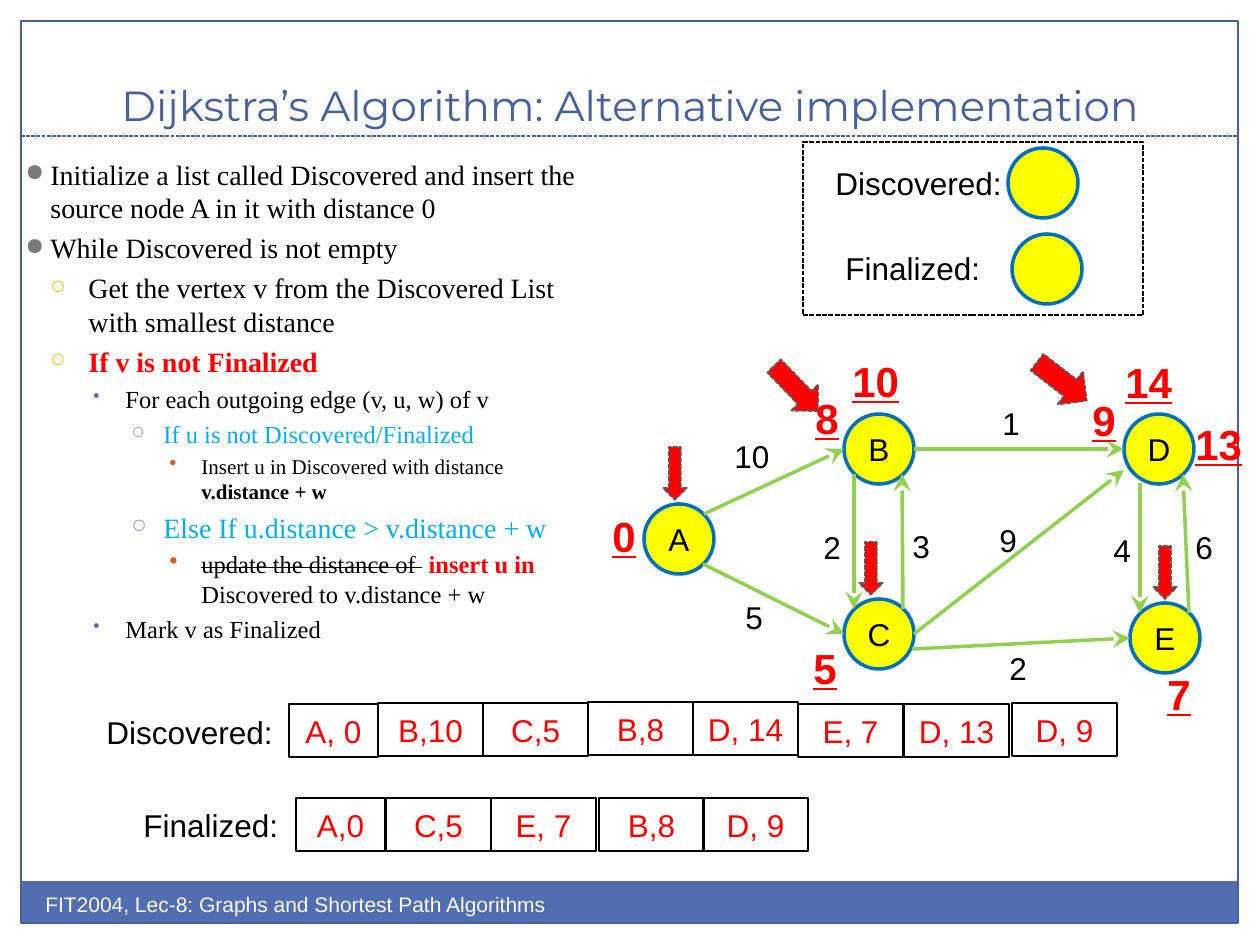
"""Build a slide on an alternative implementation of Dijkstra's algorithm."""
from lxml import etree
from pptx import Presentation
from pptx import util as u
from pptx.dml.color import RGBColor
from pptx.enum import dml, shapes, text
from pptx.oxml.ns import qn

PX = u.Inches(1) / 126
WHITE = RGBColor(0xFF, 0xFF, 0xFF)
BLACK = RGBColor(0x00, 0x00, 0x00)
RED = RGBColor(0xFF, 0x00, 0x00)
YELLOW = RGBColor(0xFF, 0xFF, 0x00)
BLUE = RGBColor(0x00, 0x70, 0xC0)
SKY = RGBColor(0x00, 0xB0, 0xF0)
GREEN = RGBColor(0x92, 0xD0, 0x50)
NAVY = RGBColor(0x48, 0x60, 0x9B)
BAND = RGBColor(0x52, 0x6D, 0xB0)
GREY = RGBColor(0x5A, 0x5A, 0x5A)
DASH = dml.MSO_LINE.SQUARE_DOT
MSO = shapes.MSO_SHAPE


def add(kind, box, fill=None, color=None, width=1, dash=None):
    box = [round(v * PX) for v in box]
    if kind is None:
        return s.shapes.add_textbox(*box)
    sp = s.shapes.add_shape(kind, *box)
    sp.shadow.inherit = False
    if fill is None:
        sp.fill.background()
    else:
        sp.fill.solid()
        sp.fill.fore_color.rgb = fill
    if color is None:
        sp.line.fill.background()
    else:
        sp.line.color.rgb = color
        sp.line.width = u.Pt(width)
        sp.line.dash_style = dash
    return sp


def write(p, words, size=18, color=BLACK, name="Arial", **fmt):
    r = p.add_run()
    r.text = words
    r.font.color.rgb = color
    for key, value in {"size": u.Pt(size), "name": name, **fmt}.items():
        setattr(r.font, key, value)
    return r


prs = Presentation()
prs.slide_width, prs.slide_height = u.Inches(10), u.Inches(7.5)
s = prs.slides.add_slide(prs.slide_layouts[6])

add(MSO.RECTANGLE, (21, 881, 1217, 43), BAND)
add(MSO.RECTANGLE, (21, 21, 1217, 902), None, NAVY, 0.75)

title = add(None, (42, 32, 1176, 104)).text_frame
title.word_wrap = True
title.vertical_anchor = text.MSO_ANCHOR.BOTTOM
title.paragraphs[0].alignment = text.PP_ALIGN.CENTER
write(title.paragraphs[0], "Dijkstra’s Algorithm: Alternative implementation", 24, NAVY, "Montserrat")

footer = add(None, (33, 885, 630, 50)).text_frame
footer.word_wrap = True
write(footer.paragraphs[0], "FIT2004, Lec-8: Graphs and Shortest Path Algorithms", 12, WHITE)

LEVELS = [
    (38, -25, "●", "7A7A7A", 85),
    (76, -38, "○", "F5C201", 70),
    (113, -32, "•", "526DB0", 75),
    (151, -32, "○", "989AAC", 70),
    (189, -32, "•", "DC5924", 100),
]
BOLD_RED = {"color": RED, "bold": True}
STEPS = [
    (0, 16, [("Initialize a list called Discovered and insert the source node A in it with distance 0", {})]),
    (0, 16, [("While Discovered is not empty", {})]),
    (1, 16, [("Get the vertex v from the Discovered List with smallest distance", {})]),
    (1, 16, [("If v is not Finalized", BOLD_RED)]),
    (2, 14, [("For each outgoing edge (v, u, w) of v", {})]),
    (3, 14, [("If u is not Discovered/Finalized", {"color": SKY})]),
    (4, 12, [("Insert u in Discovered with distance ", {}), ("v.distance + w", {"bold": True})]),
    (3, 16, [("Else If u.distance > v.distance + w", {"color": SKY})]),
    (4, 14, [("update the distance of ", {"strike": True}), (" ", {}), ("insert u in", BOLD_RED),
             (" Discovered to v.distance + w", {})]),
    (2, 14, [("Mark v as Finalized", {})]),
]
tf = add(None, (0, 151, 609, 509)).text_frame
tf.word_wrap = True
for i, (level, size, runs) in enumerate(STEPS):
    p = tf.add_paragraph() if i else tf.paragraphs[0]
    p.level = level
    p.space_before = u.Pt(round(size * 0.23, 1))
    left, indent, char, color, percent = LEVELS[level]
    pPr = p._p.get_or_add_pPr()
    pPr.set("marL", str(round(left * PX)))
    pPr.set("indent", str(round(indent * PX)))
    etree.SubElement(etree.SubElement(pPr, qn("a:buClr")), qn("a:srgbClr"), val=color)
    etree.SubElement(pPr, qn("a:buSzPct"), val=str(percent * 1000))
    etree.SubElement(pPr, qn("a:buChar"), char=char)
    for words, fmt in runs:
        struck = fmt.get("strike")
        r = write(p, words, size, name="Times New Roman", **{k: v for k, v in fmt.items() if k != "strike"})
        if struck:
            r._r.get_or_add_rPr().set("strike", "sngStrike")

add(MSO.RECTANGLE, (803, 142, 340, 173), None, BLACK, 0.9, DASH)
NODES = [("A", 644, 504), ("B", 844, 414), ("C", 844, 599), ("D", 1124, 414), ("E", 1130, 603),
         ("", 1008, 148), ("", 1012, 234)]
for name, x, y in NODES:
    sp = add(MSO.OVAL, (x, y, 70, 70), YELLOW, BLUE, 2)
    if name:
        tf = sp.text_frame
        tf.word_wrap = False
        tf.vertical_anchor = text.MSO_ANCHOR.MIDDLE
        tf.paragraphs[0].alignment = text.PP_ALIGN.CENTER
        write(tf.paragraphs[0], name)

LINES = [(704, 514, 844, 449), (703, 564, 844, 634), (854, 474, 854, 609), (914, 449, 1124, 449),
         (1140, 483, 1140, 613), (1189, 613, 1183, 474), (914, 634, 1124, 470), (903, 609, 902, 474),
         (912, 649, 1130, 638), (21, 136, 1238, 136)]
for ends in LINES:
    rule = ends == LINES[-1]
    c = s.shapes.add_connector(shapes.MSO_CONNECTOR.STRAIGHT, *[round(v * PX) for v in ends])
    c.line.color.rgb = NAVY if rule else GREEN
    c.line.width = u.Pt(0.75 if rule else 2)
    if rule:
        c.line.dash_style = DASH
    else:
        etree.SubElement(c.line._get_or_add_ln(), qn("a:tailEnd"), type="stealth", w="lg", len="lg")
    etree.SubElement(c._element.spPr, qn("a:effectLst"))

DISTANCE = {"size": 24, "color": RED, "bold": True, "underline": True}
LABELS = [
    (50, {}, [("Discovered:", 94, 707, 193), ("Finalized:", 131, 800, 161),
              ("Discovered:", 823, 158, 193), ("Finalized:", 833, 243, 161),
              ("10", 722, 431, 60), ("5", 733, 592, 43), ("2", 811, 522, 43), ("3", 900, 521, 43),
              ("1", 990, 398, 43), ("9", 987, 515, 43), ("2", 997, 643, 43), ("4", 1101, 525, 43),
              ("6", 1183, 522, 43)]),
    (63, DISTANCE, [("0", 600, 504, 49), ("10", 840, 349, 73), ("5", 801, 636, 49), ("8", 803, 386, 49),
                    ("14", 1113, 350, 73), ("7", 1155, 662, 49), ("13", 1183, 412, 73),
                    ("9", 1080, 388, 49)]),
]
for height, fmt, labels in LABELS:
    for words, x, y, width in labels:
        tf = add(None, (x, y, width, height)).text_frame
        tf.word_wrap = False
        tf.auto_size = text.MSO_AUTO_SIZE.SHAPE_TO_FIT_TEXT
        write(tf.paragraphs[0], words, **fmt)

CELLS = [("A, 0", 289, 704), ("B,10", 378, 703), ("C,5", 483, 703), ("B,8", 588, 702), ("D, 14", 693, 702),
         ("E, 7", 798, 704), ("D, 13", 904, 704), ("D, 9", 1012, 703),
         ("A,0", 296, 798), ("C,5", 386, 798), ("E, 7", 491, 798), ("B,8", 599, 798), ("D, 9", 703, 798)]
for words, x, y in CELLS:
    width = 89 if words.startswith("A") else 105
    tf = add(MSO.RECTANGLE, (x, y, width, 53), None, BLACK).text_frame
    tf.vertical_anchor = text.MSO_ANCHOR.MIDDLE
    tf.paragraphs[0].alignment = text.PP_ALIGN.CENTER
    write(tf.paragraphs[0], words, color=RED)

ARROWS = [(663, 447, 24, 53, 0), (859, 542, 24, 53, 0), (1153, 546, 24, 53, 0),
          (777, 357, 38, 63, 315.9), (1041, 350, 42, 63, 307.7)]
for *box, angle in ARROWS:
    add(MSO.DOWN_ARROW, box, RED, GREY, 0.9, DASH).rotation = angle

prs.save("out.pptx")
